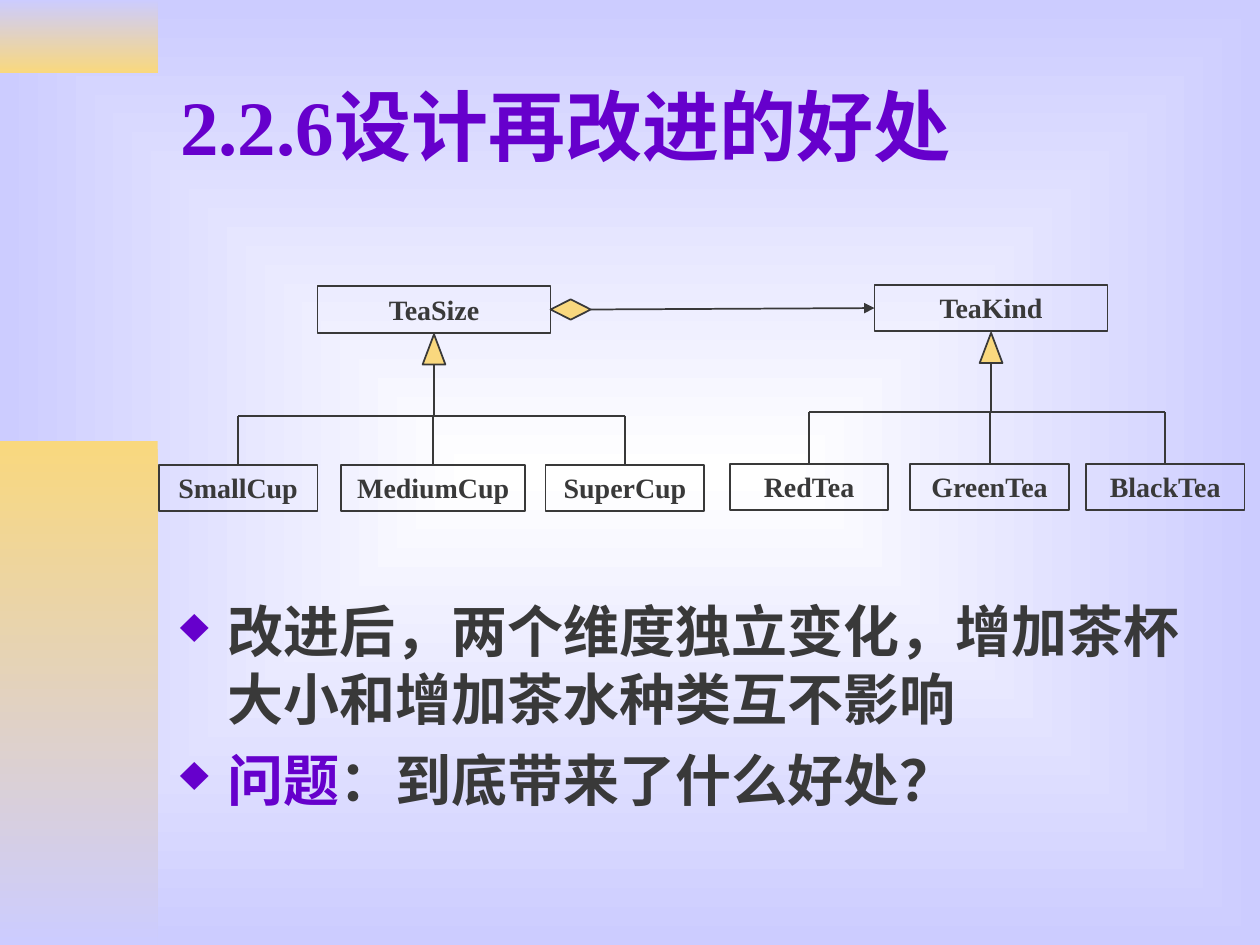
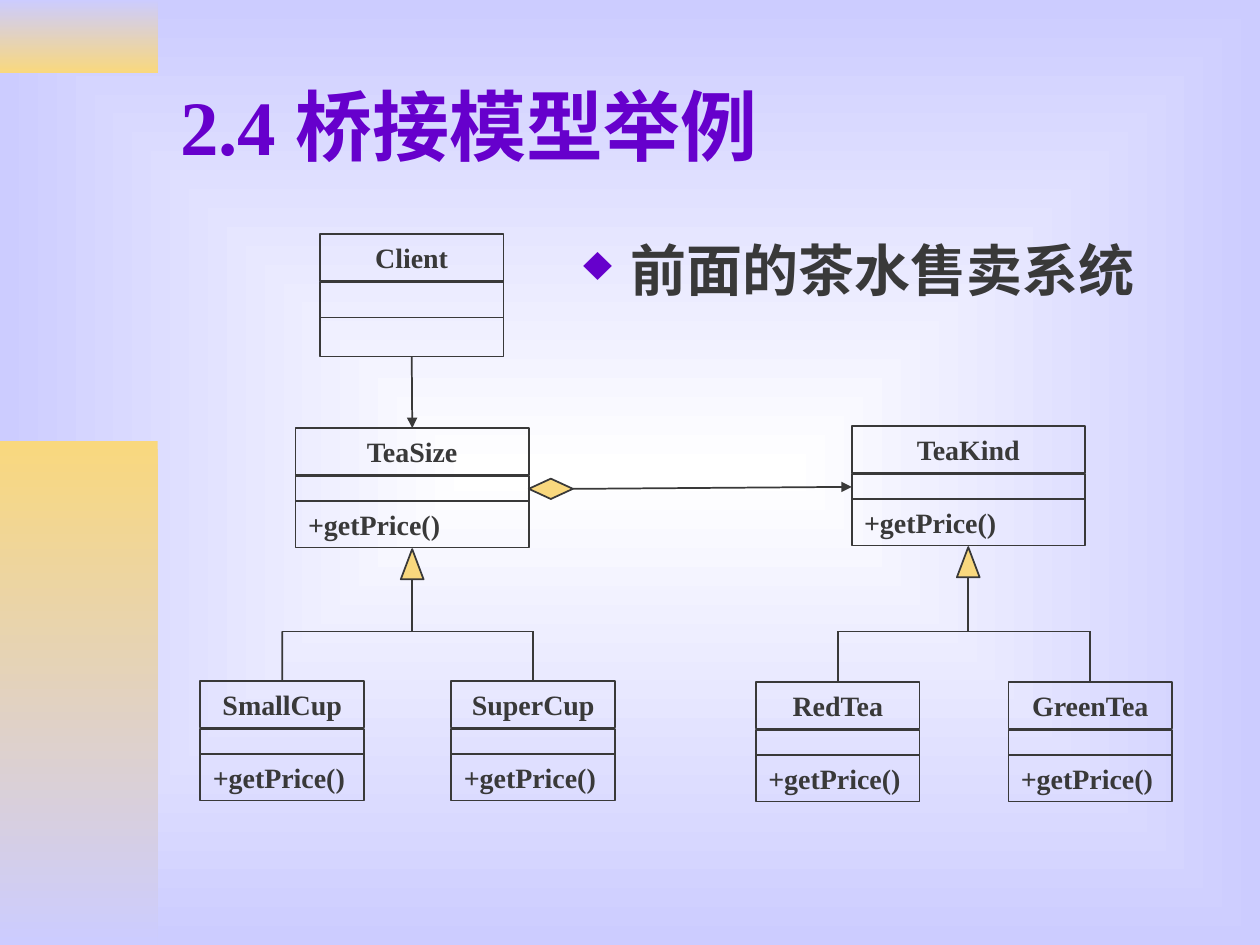
"""Build two slides on the bridge pattern, with class diagrams of a tea shop."""
import pptx
import pptx.dml.color
import pptx.enum.shapes
import pptx.enum.text
import pptx.oxml.ns
import pptx.util
from lxml import etree

Cm = pptx.util.Cm
Emu = pptx.util.Emu
Pt = pptx.util.Pt
RGBColor = pptx.dml.color.RGBColor
SHAPE = pptx.enum.shapes.MSO_SHAPE
ALIGN = pptx.enum.text.PP_ALIGN
ANCHOR = pptx.enum.text.MSO_ANCHOR
qn = pptx.oxml.ns.qn

WHITE = RGBColor(0xFF, 0xFF, 0xFF)
LAVENDER = RGBColor(0xCC, 0xCC, 0xFF)
GOLD = RGBColor(0xF9, 0xD8, 0x7E)
PURPLE = RGBColor(0x66, 0x00, 0xCC)
INK = RGBColor(0x39, 0x39, 0x39)
FONT = "Times New Roman"

TOP, LEFT, BOTTOM, RIGHT = range(4)
BANDS = [(0, 1.47, LAVENDER, GOLD), (8.89, 10.16, GOLD, LAVENDER)]
TITLE_BOX = (3.38, 0.84, 21.59, 3.35)

NAME_HEIGHT = 0.94
PARENT_WIDTH = 4.7
NAME_ONLY = []
PRICED = [(0.97, 0.51, ""), (1.47, 0.94, "+getPrice()")]
EMPTY_MEMBERS = [(0.97, 0.71, ""), (1.68, 0.79, "")]

SLIDES = [
    {
        "title": "2.2.6设计再改进的好处",
        "body_box": (3.38, 11.91, 21.59, 5),
        "body": [
            [("改进后，两个维度独立变化，增加茶杯大小和增加茶水种类互不影响", INK)],
            [("问题", PURPLE), ("：到底带来了什么好处？", INK)],
        ],
        "members": NAME_ONLY,
        "diamond_width": 0.81,
        "trees": [
            {"parent": ("TeaSize", 6.4, 5.77), "bus": 8.38, "children_top": 9.37,
             "children": [("SmallCup", 3.2, 3.2), ("MediumCup", 6.88, 3.71), ("SuperCup", 11, 3.2)]},
            {"parent": ("TeaKind", 17.63, 5.74), "bus": 8.31, "children_top": 9.35,
             "children": [("RedTea", 14.71, 3.2), ("GreenTea", 18.35, 3.2), ("BlackTea", 21.89, 3.2)]},
        ],
    },
    {
        "title": "2.4 桥接模型举例",
        "body_box": (11.51, 4.62, 12.8, 2.08),
        "body": [[("前面的茶水售卖系统", INK)]],
        "members": PRICED,
        "diamond_width": 0.89,
        "client": ("Client", 6.45, 4.72, 3.7),
        "trees": [
            {"parent": ("TeaSize", 5.96, 8.63), "bus": 12.73, "children_top": 13.73,
             "children": [("SmallCup", 4.04, 3.3), ("SuperCup", 9.1, 3.3)]},
            {"parent": ("TeaKind", 17.17, 8.59), "bus": 12.73, "children_top": 13.75,
             "children": [("RedTea", 15.24, 3.3), ("GreenTea", 20.33, 3.3)]},
        ],
    },
]


def set_gradient(fill, start, end):
    fill.gradient()
    for stop, color in zip(fill.gradient_stops, (start, end)):
        stop.color.rgb = color


def set_background(master):
    set_gradient(master.background.fill, WHITE, LAVENDER)
    linear = next(master.element.iter(qn("a:lin")))
    gradient = linear.getparent()
    path = etree.Element(qn("a:path"), {"path": "rect"})
    etree.SubElement(path, qn("a:fillToRect"), dict.fromkeys("ltrb", "50000"))
    gradient.replace(linear, path)


def add_run(paragraph, text, size, color):
    run = paragraph.add_run()
    run.text = text
    run.font.name, run.font.size, run.font.bold = FONT, Pt(size), True
    run.font.color.rgb = color


def add_text_box(slide, box):
    frame = slide.shapes.add_textbox(*map(Cm, box)).text_frame
    frame.word_wrap = True
    return frame


def add_bullet(paragraph):
    properties = paragraph._p.get_or_add_pPr()
    properties.set("marL", str(Cm(0.95)))
    properties.set("indent", str(-Cm(0.95)))
    color = etree.SubElement(properties, qn("a:buClr"))
    etree.SubElement(color, qn("a:srgbClr"), {"val": str(PURPLE)})
    etree.SubElement(properties, qn("a:buSzPct"), {"val": "90000"})
    etree.SubElement(properties, qn("a:buChar"), {"char": "♦"})


def add_body(slide, box, paragraphs):
    frame = add_text_box(slide, box)
    for index, runs in enumerate(paragraphs):
        paragraph = frame.add_paragraph() if index else frame.paragraphs[0]
        add_bullet(paragraph)
        if index:
            paragraph.space_before = Pt(8)
        for text, color in runs:
            add_run(paragraph, text, 32, color)


def add_shape(slide, kind, left, top, width, height, color=None):
    shape = slide.shapes.add_shape(kind, *map(Cm, (left, top, width, height)))
    shape.shadow.inherit = False
    shape.line.color.rgb = INK
    shape.line.width = Pt(1)
    if color is None:
        shape.fill.background()
    else:
        shape.fill.solid()
        shape.fill.fore_color.rgb = color
    return shape


def add_line(slide, start, end, arrow=False):
    connector = slide.shapes.add_connector(
        pptx.enum.shapes.MSO_CONNECTOR.STRAIGHT, *map(Cm, start + end))
    connector.line.color.rgb = INK
    connector.line.width = Pt(1)
    properties = connector.element.spPr
    if arrow:
        etree.SubElement(properties.find(qn("a:ln")), qn("a:tailEnd"), {"type": "triangle"})
    etree.SubElement(properties, qn("a:effectLst"))
    return connector


def add_joined_arrow(slide, source, source_side, target, target_side):
    connector = add_line(slide, (0, 0), (0, 0), arrow=True)
    connector.begin_connect(source, source_side)
    connector.end_connect(target, target_side)


def add_class(slide, name, left, top, width, members):
    compartments = []
    for offset, height, text in [(0, NAME_HEIGHT, name)] + members:
        shape = add_shape(slide, SHAPE.RECTANGLE, left, top + offset, width, height)
        if text:
            frame = shape.text_frame
            frame.word_wrap = True
            frame.vertical_anchor = ANCHOR.TOP
            paragraph = frame.paragraphs[0]
            paragraph.alignment = ALIGN.LEFT if offset else ALIGN.CENTER
            add_run(paragraph, text, 16, INK)
        compartments.append(shape)
    return compartments


def add_tree(slide, tree, members):
    name, left, top = tree["parent"]
    bus, children_top = tree["bus"], tree["children_top"]
    parent = add_class(slide, name, left, top, PARENT_WIDTH, members)
    center = left + PARENT_WIDTH / 2
    triangle_top = Emu(parent[-1].top + parent[-1].height).cm + 0.03
    triangle_width, triangle_height = 0.46, 0.61
    add_shape(slide, SHAPE.ISOSCELES_TRIANGLE, center - triangle_width / 2, triangle_top,
              triangle_width, triangle_height, GOLD)
    add_line(slide, (center, triangle_top + triangle_height), (center, bus))
    child_centers = []
    for child_name, child_left, width in tree["children"]:
        child = add_class(slide, child_name, child_left, children_top, width, members)
        child_center = child_left + width / 2
        drop = add_line(slide, (child_center, bus), (child_center, children_top))
        drop.end_connect(child[0], TOP)
        child_centers.append(child_center)
    add_line(slide, (child_centers[0], bus), (child_centers[-1], bus))
    return parent


def add_aggregation(slide, whole, part, width):
    height = 0.41
    left = Emu(whole.left + whole.width).cm
    middle = Emu(whole.top + whole.height // 2).cm
    diamond = add_shape(slide, SHAPE.DIAMOND, left, middle - height / 2, width, height, GOLD)
    add_joined_arrow(slide, diamond, RIGHT, part, LEFT)


def add_frame(slide, title):
    for top, height, start, end in BANDS:
        band = add_shape(slide, SHAPE.RECTANGLE, 0, top, 3.18, height)
        band.line.fill.background()
        set_gradient(band.fill, start, end)
        band.fill.gradient_angle = 270
    frame = add_text_box(slide, TITLE_BOX)
    frame.vertical_anchor = ANCHOR.MIDDLE
    add_run(frame.paragraphs[0], title, 44, PURPLE)


def add_slide(presentation, content):
    slide = presentation.slides.add_slide(presentation.slide_layouts[6])
    add_frame(slide, content["title"])
    add_body(slide, content["body_box"], content["body"])
    members = content["members"]
    size, kind = [add_tree(slide, tree, members) for tree in content["trees"]]
    link_row = 1 if members else 0
    add_aggregation(slide, size[link_row], kind[link_row], content["diamond_width"])
    if "client" in content:
        client = add_class(slide, *content["client"], EMPTY_MEMBERS)
        add_joined_arrow(slide, client[-1], BOTTOM, size[0], TOP)


def main():
    presentation = pptx.Presentation()
    presentation.slide_width, presentation.slide_height = Cm(25.4), Cm(19.05)
    set_background(presentation.slide_master)
    for content in SLIDES:
        add_slide(presentation, content)
    presentation.save("out.pptx")


if __name__ == "__main__":
    main()
